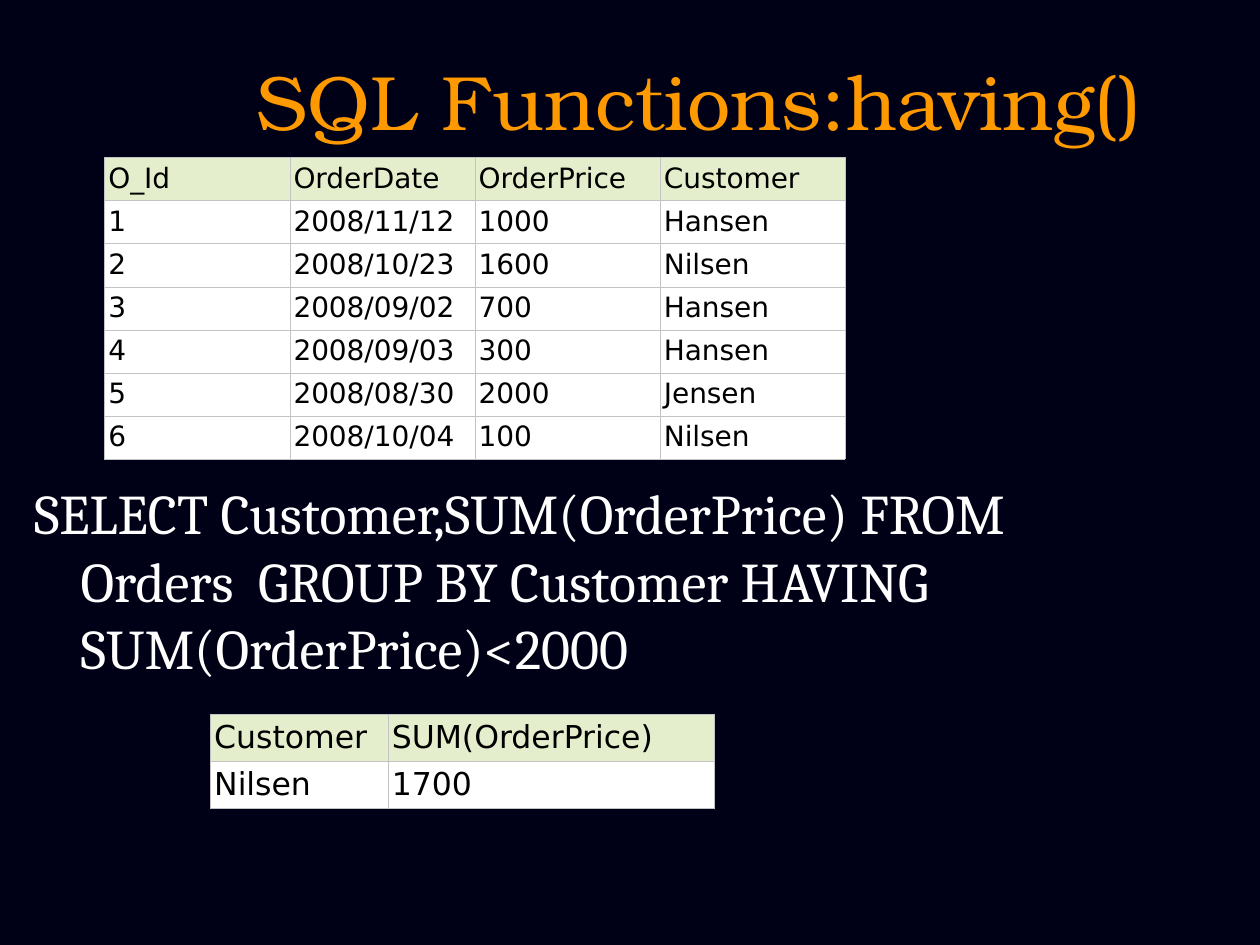
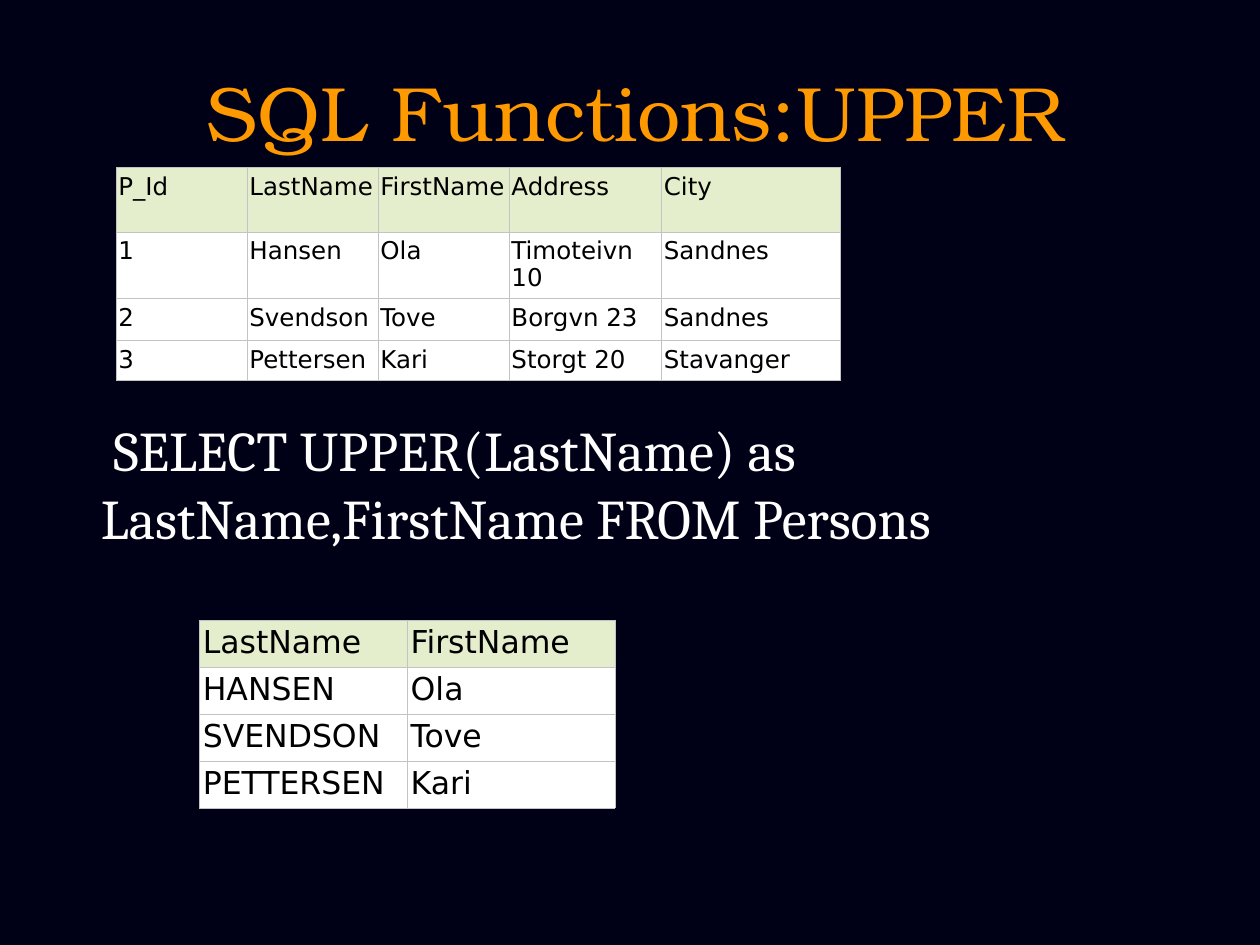
"""Builds two slides on the SQL functions HAVING and UPPER."""
from lxml import etree
from pptx import Presentation
from pptx.dml.color import RGBColor
from pptx.enum.text import MSO_ANCHOR, MSO_AUTO_SIZE, PP_ALIGN
from pptx.oxml.ns import qn
from pptx.util import Inches, Pt

CENTER = PP_ALIGN.CENTER
LEFT = PP_ALIGN.LEFT
MIDDLE = MSO_ANCHOR.MIDDLE
TOP = MSO_ANCHOR.TOP
NO_AUTOFIT = MSO_AUTO_SIZE.NONE

COLORS = {
    "background": "000016",
    "title": "FF9900",
    "query": "FFFFFF",
    "cell_text": "000000",
    "header_fill": "E5EECC",
    "row_fill": "FFFFFF",
    "border": "C3C3C3",
}
TITLE_FONT = "TeX Gyre Bonum"
QUERY_FONT = "Cambria"
TABLE_FONT = "DejaVu Sans"
QUERY_INDENT = 0.37
BORDER_WIDTH = Pt(0.17)

ORDERS = [
    ["O_Id", "OrderDate", "OrderPrice", "Customer"],
    ["1", "2008/11/12", "1000", "Hansen"],
    ["2", "2008/10/23", "1600", "Nilsen"],
    ["3", "2008/09/02", "700", "Hansen"],
    ["4", "2008/09/03", "300", "Hansen"],
    ["5", "2008/08/30", "2000", "Jensen"],
    ["6", "2008/10/04", "100", "Nilsen"],
]
ORDER_SUMS = [["Customer", "SUM(OrderPrice)"], ["Nilsen", "1700"]]
PERSONS = [
    ["P_Id", "LastName", "FirstName", "Address", "City"],
    ["1", "Hansen", "Ola", "Timoteivn 10", "Sandnes"],
    ["2", "Svendson", "Tove", "Borgvn 23", "Sandnes"],
    ["3", "Pettersen", "Kari", "Storgt 20", "Stavanger"],
]
UPPER_NAMES = [
    ["LastName", "FirstName"],
    ["HANSEN", "Ola"],
    ["SVENDSON", "Tove"],
    ["PETTERSEN", "Kari"],
]


def place(shape, left, top, width, height):
    shape.left, shape.top = Inches(left), Inches(top)
    shape.width, shape.height = Inches(width), Inches(height)


def add_run(paragraph, text, font_name, size, color):
    run = paragraph.add_run()
    run.text = text
    run.font.name = font_name
    run.font.size = Pt(size)
    run.font.bold = False
    run.font.color.rgb = RGBColor.from_string(COLORS[color])


def fill_placeholder(shape, box, anchor, alignment):
    place(shape, *box)
    frame = shape.text_frame
    frame.word_wrap = True
    frame.auto_size = NO_AUTOFIT
    frame.vertical_anchor = anchor
    paragraph = frame.paragraphs[0]
    paragraph.alignment = alignment
    paragraph.space_before = Pt(0)
    return paragraph


def add_title(slide, text, box):
    paragraph = fill_placeholder(slide.shapes.title, box, MIDDLE, CENTER)
    add_run(paragraph, text, TITLE_FONT, 44, "title")


def add_query(slide, text, box, first_indent):
    paragraph = fill_placeholder(slide.placeholders[1], box, TOP, LEFT)
    properties = paragraph._p.get_or_add_pPr()
    properties.set("marL", str(Inches(QUERY_INDENT)))
    properties.set("indent", str(Inches(first_indent)))
    etree.SubElement(properties, qn("a:buNone"))
    add_run(paragraph, text, QUERY_FONT, 32, "query")


def add_borders(cell):
    properties = cell._tc.get_or_add_tcPr()
    for side in ("a:lnL", "a:lnR", "a:lnT", "a:lnB"):
        line = etree.SubElement(properties, qn(side), w=str(BORDER_WIDTH))
        fill = etree.SubElement(line, qn("a:solidFill"))
        etree.SubElement(fill, qn("a:srgbClr"), val=COLORS["border"])


def format_cell(cell, text, size, fill_color, side_margin):
    add_borders(cell)
    cell.fill.solid()
    cell.fill.fore_color.rgb = RGBColor.from_string(COLORS[fill_color])
    cell.margin_left = cell.margin_right = Inches(side_margin)
    cell.margin_top = cell.margin_bottom = Inches(0.05)
    paragraph = cell.text_frame.paragraphs[0]
    paragraph.line_spacing = 0.94
    add_run(paragraph, text, TABLE_FONT, size, "cell_text")


def add_data_table(slide, rows, left, top, widths, heights, size, side_margin=0.03):
    frame = slide.shapes.add_table(
        len(rows), len(widths), Inches(left), Inches(top),
        Inches(sum(widths)), Inches(sum(heights)))
    table = frame.table
    table.horz_banding = False
    for column, width in zip(table.columns, widths):
        column.width = Inches(width)
    for row, height in zip(table.rows, heights):
        row.height = Inches(height)
    for row_index, values in enumerate(rows):
        fill_color = "row_fill" if row_index else "header_fill"
        for column_index, text in enumerate(values):
            cell = table.cell(row_index, column_index)
            format_cell(cell, text, size, fill_color, side_margin)


def add_having_slide(presentation):
    slide = presentation.slides.add_slide(presentation.slide_layouts[1])
    add_title(slide, "SQL Functions:having()", (1, 0.25, 9.1, 1.08))
    add_query(
        slide,
        "SELECT Customer,SUM(OrderPrice) FROM Orders  GROUP BY Customer "
        "HAVING SUM(OrderPrice)<2000",
        (0.17, 3.75, 9, 1.75), -QUERY_INDENT)
    add_data_table(slide, ORDERS, 0.83, 1.25, [1.47] * 4, [0.33] * 7, 16)
    add_data_table(slide, ORDER_SUMS, 1.67, 5.67, [1.41, 2.59], [0.36] * 2, 18)


def add_upper_slide(presentation):
    slide = presentation.slides.add_slide(presentation.slide_layouts[1])
    add_title(slide, "SQL Functions:UPPER", (1.33, 0.25, 7.42, 1.25))
    add_query(
        slide,
        "SELECT UPPER(LastName) as LastName,FirstName FROM Persons",
        (0.33, 3.25, 9, 1.33), 0.1)
    add_data_table(
        slide, PERSONS, 0.92, 1.33, [1.04, 1.04, 1.04, 1.21, 1.42],
        [0.51, 0.52, 0.33, 0.32], 14, side_margin=0.02)
    add_data_table(slide, UPPER_NAMES, 1.58, 4.92, [1.65] * 2, [0.36] * 4, 18)


def main():
    presentation = Presentation()
    presentation.slide_width = Inches(10)
    presentation.slide_height = Inches(7.5)
    background = presentation.slide_master.background.fill
    background.solid()
    background.fore_color.rgb = RGBColor.from_string(COLORS["background"])
    add_having_slide(presentation)
    add_upper_slide(presentation)
    presentation.save("out.pptx")


if __name__ == "__main__":
    main()
